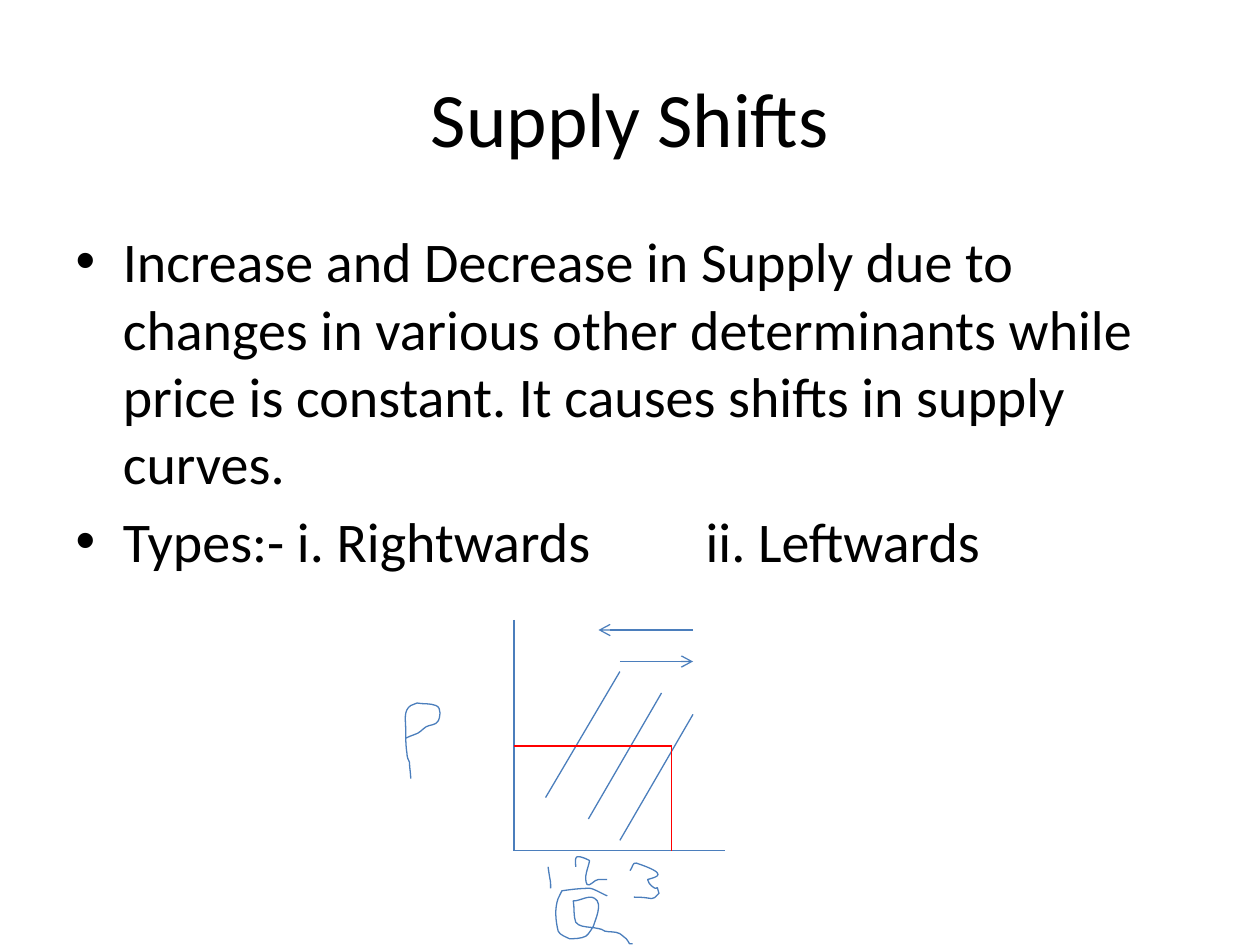
from lxml.etree import SubElement
from pptx import Presentation
from pptx.dml.color import RGBColor
from pptx.enum.shapes import MSO_CONNECTOR
from pptx.oxml.ns import qn
from pptx.util import Inches, Pt

BLUE, RED, BLACK = "4B7EBC", "FF0000", "000000"

AXES = [(4.08, 4.92, 4.08, 6.75), (4.08, 6.75, 5.75, 6.75)]
SUPPLY_CURVES = [(4.33, 6.33, 4.92, 5.33), (4.67, 6.5, 5.25, 5.5), (4.92, 6.67, 5.5, 5.67)]
PRICE_GUIDES = [(4.08, 5.92, 5.33, 5.92), (5.33, 5.92, 5.33, 6.75)]
SHIFT_ARROWS = [(5.5, 5, 4.75, 5), (4.92, 5.25, 5.5, 5.25)]

LETTER_P = [
    (3.26, 6.18), (3.26, 6.14), (3.25, 6.09), (3.25, 6.05), (3.24, 6.03), (3.23, 6.01),
    (3.23, 5.98), (3.22, 5.92), (3.22, 5.85), (3.22, 5.78), (3.22, 5.72), (3.2, 5.64),
    (3.26, 5.6), (3.28, 5.59), (3.29, 5.59), (3.31, 5.58), (3.36, 5.59), (3.41, 5.58),
    (3.46, 5.6), (3.51, 5.62), (3.49, 5.7), (3.48, 5.72), (3.46, 5.76), (3.41, 5.75),
    (3.38, 5.77), (3.35, 5.79), (3.33, 5.82), (3.29, 5.83), (3.24, 5.85), (3.26, 5.84),
    (3.22, 5.86),
]
LETTER_Q = [
    (4.82, 7.11), (4.79, 7.1), (4.71, 7.05), (4.68, 7.05), (4.6, 7.05), (4.53, 7.06),
    (4.46, 7.07), (4.45, 7.09), (4.44, 7.11), (4.43, 7.13), (4.4, 7.21), (4.41, 7.31),
    (4.43, 7.39), (4.44, 7.42), (4.5, 7.44), (4.52, 7.45), (4.56, 7.45), (4.61, 7.45),
    (4.65, 7.43), (4.67, 7.42), (4.71, 7.35), (4.71, 7.35), (4.72, 7.31), (4.79, 7.17),
    (4.72, 7.13), (4.67, 7.1), (4.61, 7.15), (4.55, 7.15), (4.56, 7.21), (4.55, 7.27),
    (4.57, 7.32), (4.58, 7.34), (4.6, 7.34), (4.62, 7.35), (4.66, 7.36), (4.71, 7.36),
    (4.75, 7.37), (4.77, 7.37), (4.78, 7.38), (4.8, 7.39), (4.84, 7.4), (4.88, 7.39),
    (4.92, 7.41), (4.94, 7.42), (4.95, 7.44), (4.97, 7.45), (5.01, 7.5), (4.98, 7.49),
    (5.02, 7.49),
]
DIGIT_1 = [(4.35, 6.88), (4.37, 7.03), (4.37, 6.97), (4.37, 7.05)]
DIGIT_2 = [
    (4.57, 6.88), (4.57, 6.85), (4.56, 6.81), (4.58, 6.8), (4.61, 6.79), (4.68, 6.83),
    (4.68, 6.83), (4.67, 6.89), (4.63, 6.96), (4.66, 7.02), (4.68, 7.04), (4.72, 6.98),
    (4.75, 6.98), (4.82, 6.98),
]
DIGIT_3 = [
    (5, 6.91), (5.02, 6.89), (5.02, 6.84), (5.05, 6.85), (5.32, 6.94), (5.21, 6.96),
    (5.14, 6.98), (5.15, 7), (5.15, 7.02), (5.17, 7.03), (5.24, 7.09), (5.2, 6.99),
    (5.23, 7.09), (5.16, 7.16), (5.21, 7.12), (5.03, 7.12),
]


def set_color(color_format, color):
    """Apply a hex colour to a font or line colour."""
    color_format.rgb = RGBColor.from_string(color)


def fill_placeholder(shape, box, paragraphs, size):
    """Move a placeholder and write its formatted paragraphs."""
    shape.left, shape.top, shape.width, shape.height = map(Inches, box)
    shape.text_frame.text = "\n".join(paragraphs)
    for paragraph in shape.text_frame.paragraphs:
        paragraph._p.get_or_add_pPr().set("defTabSz", str(Inches(1)))
        for run in paragraph.runs:
            run.font.name = "Calibri"
            run.font.size = Pt(size)
            set_color(run.font.color, BLACK)


def add_line(slide, ends, color=BLUE, arrow=False):
    """Draw a thin straight line, with an optional arrowhead at its end."""
    connector = slide.shapes.add_connector(MSO_CONNECTOR.STRAIGHT, *map(Inches, ends))
    set_color(connector.line.color, color)
    connector.line.width = Pt(0.75)
    properties = connector._element.spPr
    if arrow:
        SubElement(properties.find(qn("a:ln")), qn("a:tailEnd"), type="arrow")
    SubElement(properties, qn("a:effectLst"))


def curve_segments(shape):
    """Turn each three line segments of a freeform into one Bezier curve."""
    outline = next(shape._element.iter(qn("a:path")))
    segments = outline.findall(qn("a:lnTo"))
    for first in range(0, len(segments) - 2, 3):
        curve = SubElement(outline, qn("a:cubicBezTo"))
        for segment in segments[first:first + 3]:
            curve.append(segment[0])
            outline.remove(segment)
    for segment in outline.findall(qn("a:lnTo")):
        outline.append(segment)


def add_handwriting(slide, controls):
    """Draw one open pen stroke along Bezier control points."""
    start, *others = [(Inches(x), Inches(y)) for x, y in controls]
    builder = slide.shapes.build_freeform(*start)
    builder.add_line_segments(others, close=False)
    shape = builder.convert_to_shape()
    curve_segments(shape)
    shape.shadow.inherit = False
    shape.fill.background()
    set_color(shape.line.color, BLUE)
    shape.line.width = Pt(0.75)


def main():
    """Build the supply shifts slide."""
    presentation = Presentation()
    presentation.slide_width, presentation.slide_height = Inches(10), Inches(7.5)
    slide = presentation.slides.add_slide(presentation.slide_layouts[1])
    title, body = slide.placeholders
    fill_placeholder(title, (0.5, 0.3, 9, 1.25), ["Supply Shifts"], 44)
    fill_placeholder(body, (0.5, 1.75, 9, 4.95), [
        "Increase and Decrease in Supply due to changes in various other determinants "
        "while price is constant. It causes shifts in supply curves.",
        "Types:- i. Rightwards\tii. Leftwards",
    ], 32)
    for ends in AXES + SUPPLY_CURVES:
        add_line(slide, ends)
    for stroke in (LETTER_P, LETTER_Q, DIGIT_1, DIGIT_2, DIGIT_3):
        add_handwriting(slide, stroke)
    for ends in PRICE_GUIDES:
        add_line(slide, ends, RED)
    for ends in SHIFT_ARROWS:
        add_line(slide, ends, arrow=True)
    presentation.save("out.pptx")


main()
